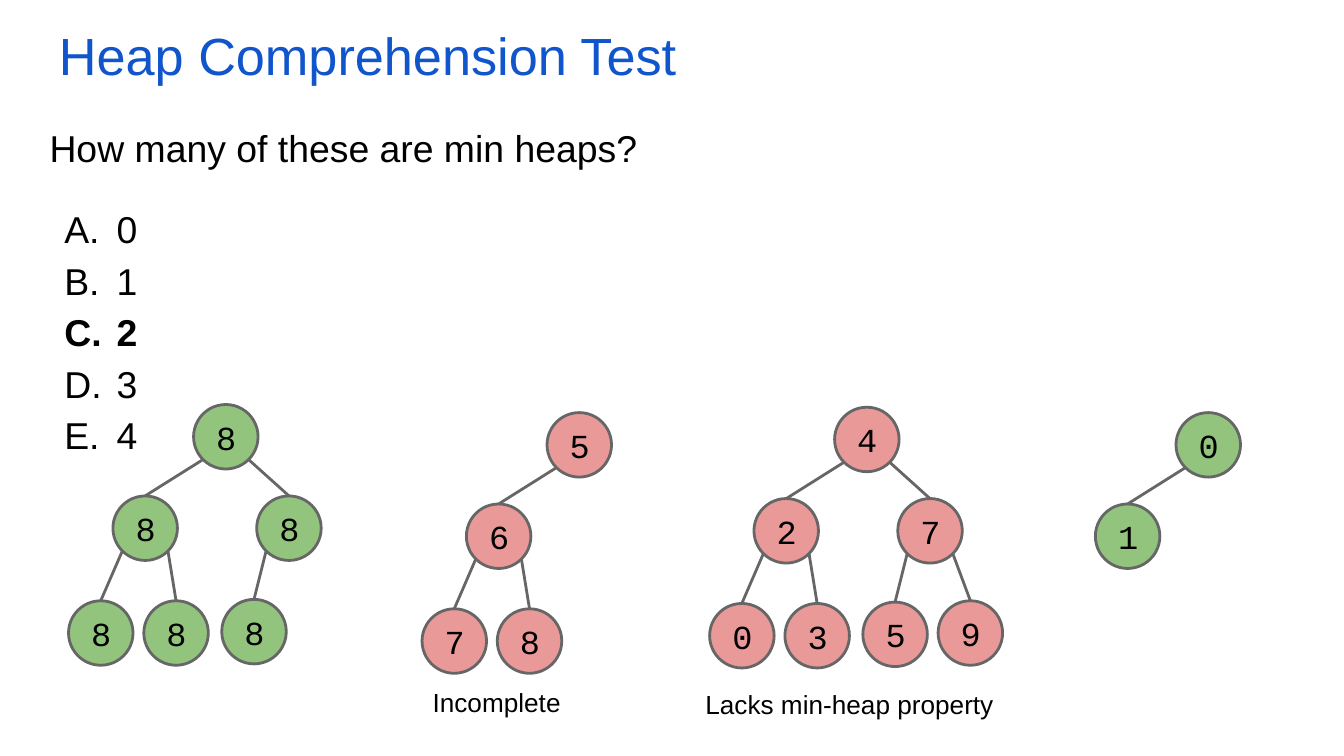
import math

import lxml.etree
import pptx
import pptx.dml.color
import pptx.enum.shapes
import pptx.enum.text
import pptx.oxml.ns
import pptx.util

Inches, Pt = pptx.util.Inches, pptx.util.Pt
ALIGN, ANCHOR = pptx.enum.text.PP_ALIGN, pptx.enum.text.MSO_ANCHOR
COLORS = {"title": "1155CC", "text": "000000", "outline": "666666",
          "heap": "93C47D", "not_heap": "EA9999"}

TITLE = "Heap Comprehension Test"
QUESTION = "How many of these are min heaps?"
ANSWERS = ["0", "1", "2", "3", "4"]
CORRECT = "2"

# Keys are heap indices: the parent of node i is i // 2.
TREES = [
    {"root": (1.44, 3.01), "fill": "heap",
     "keys": {1: "8", 2: "8", 3: "8", 4: "8", 5: "8", 6: "8"}},
    {"root": (4.07, 3.07), "fill": "not_heap",
     "keys": {1: "5", 2: "6", 4: "7", 5: "8"}},
    {"root": (6.21, 3.03), "fill": "not_heap",
     "keys": {1: "4", 2: "2", 3: "7", 4: "0", 5: "3", 6: "5", 7: "9"}},
    {"root": (8.75, 3.07), "fill": "heap", "keys": {1: "0", 2: "1"}},
]
CAPTIONS = [("Incomplete", (3.12, 5.01, 1.72, 0.24)),
            ("Lacks min-heap property", (5.15, 5.02, 2.39, 0.24))]

# Offset of each heap index from the root
OFFSETS = {1: (0, 0), 2: (-0.6, 0.68), 3: (0.47, 0.68), 4: (-0.93, 1.46),
           5: (-0.37, 1.46), 6: (0.21, 1.45), 7: (0.77, 1.44)}
SLIDE_WIDTH = Inches(10)
DIAMETER = 0.48
LINE_WIDTH = Pt(1.5)
LINE_SPACING = 1.15


def rgb(name):
    return pptx.dml.color.RGBColor.from_string(COLORS[name])


def set_font(paragraph, size, color="text", name="Arial", bold=False):
    paragraph.font.color.rgb = rgb(color)
    values = {"size": Pt(size), "name": name, "bold": bold}
    for key, value in values.items():
        setattr(paragraph.font, key, value)


def set_frame(frame, anchor=ANCHOR.TOP):
    values = {"word_wrap": True, "vertical_anchor": anchor}
    for side in ("left", "top", "right", "bottom"):
        values["margin_" + side] = Inches(0.1)
    for key, value in values.items():
        setattr(frame, key, value)


def add_text(slide, box):
    frame = slide.shapes.add_textbox(*map(Inches, box)).text_frame
    set_frame(frame)
    return frame


def add_letter(paragraph):
    """Number the paragraph A., B., C. with a hanging indent."""
    properties = paragraph._p.get_or_add_pPr()
    properties.set("marL", str(Inches(0.5)))
    properties.set("indent", str(Inches(-0.39)))
    lxml.etree.SubElement(properties, pptx.oxml.ns.qn("a:buFont"), typeface="Arial")
    lxml.etree.SubElement(properties, pptx.oxml.ns.qn("a:buAutoNum"),
                          type="alphaUcPeriod")


def add_question(slide):
    frame = add_text(slide, (0.27, 0.78, 9.62, 1.93))
    question = frame.paragraphs[0]
    question.text = QUESTION
    question.line_spacing = LINE_SPACING
    question.space_after = Pt(16)
    set_font(question, 20)
    for answer in ANSWERS:
        option = frame.add_paragraph()
        option.line_spacing = LINE_SPACING
        add_letter(option)
        run = option.add_run()
        run.text = answer
        run.font.bold = answer == CORRECT
        set_font(option, 20, bold=answer == CORRECT)


def add_node(slide, left, top, key, fill):
    node = slide.shapes.add_shape(
        pptx.enum.shapes.MSO_SHAPE.OVAL, Inches(left), Inches(top),
        Inches(DIAMETER), Inches(DIAMETER))
    node.shadow.inherit = False
    node.fill.solid()
    node.fill.fore_color.rgb = rgb(fill)
    node.line.color.rgb = rgb("outline")
    node.line.width = LINE_WIDTH
    set_frame(node.text_frame, ANCHOR.MIDDLE)
    paragraph = node.text_frame.paragraphs[0]
    paragraph.text = key
    paragraph.alignment = ALIGN.CENTER
    set_font(paragraph, 18, name="Courier New")
    return node


def add_edge(slide, child, parent, side):
    """Join the child's top to the parent's lower left (-1) or right (1)."""
    radius = Inches(DIAMETER / 2)
    diagonal = int(radius * math.sqrt(0.5))
    edge = slide.shapes.add_connector(
        pptx.enum.shapes.MSO_CONNECTOR.STRAIGHT,
        child.left + radius, child.top,
        parent.left + radius + side * diagonal, parent.top + radius + diagonal)
    edge.begin_connect(child, 0)
    edge.line.color.rgb = rgb("outline")
    edge.line.width = LINE_WIDTH
    lxml.etree.SubElement(edge._element.spPr, pptx.oxml.ns.qn("a:effectLst"))


def add_tree(slide, tree):
    left, top = tree["root"]
    nodes = {}
    for index, key in tree["keys"].items():
        dx, dy = OFFSETS[index]
        nodes[index] = add_node(slide, left + dx, top + dy, key, tree["fill"])
        if index > 1:
            add_edge(slide, nodes[index], nodes[index // 2], 1 if index % 2 else -1)


def main():
    deck = pptx.Presentation()
    deck.slide_width, deck.slide_height = SLIDE_WIDTH, SLIDE_WIDTH * 9 // 16
    slide = deck.slides.add_slide(deck.slide_layouts[6])

    title = add_text(slide, (0.34, 0.07, 9.32, 0.63)).paragraphs[0]
    title.text = TITLE
    set_font(title, 28, "title")

    add_question(slide)
    for tree in TREES:
        add_tree(slide, tree)
    for text, box in CAPTIONS:
        caption = add_text(slide, box).paragraphs[0]
        caption.text = text
        set_font(caption, 14)
    deck.save("out.pptx")


if __name__ == "__main__":
    main()
